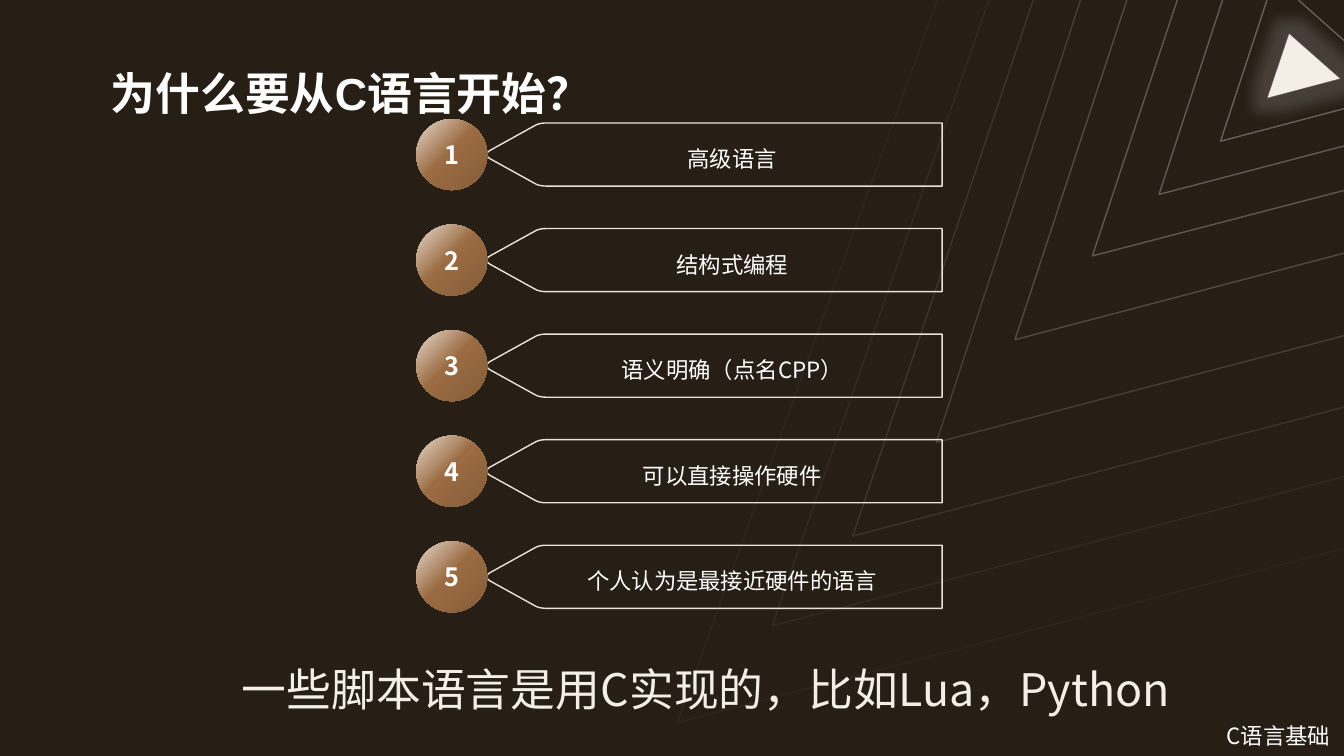
from copy import deepcopy
from dataclasses import dataclass

from lxml.etree import SubElement
from pptx import Presentation
from pptx.dml.color import RGBColor
from pptx.enum.shapes import MSO_CONNECTOR, MSO_SHAPE
from pptx.enum.text import MSO_ANCHOR, PP_ALIGN
from pptx.oxml.ns import qn
from pptx.util import Cm, Pt

TITLE = "为什么要从C语言开始？"
REASONS = ["高级语言", "结构式编程", "语义明确（点名CPP）", "可以直接操作硬件", "个人认为是最接近硬件的语言"]
CONCLUSION = "一些脚本语言是用C实现的，比如Lua，Python"
FOOTER = "C语言基础"

# Lengths are in centimetres.
SLIDE_WIDTH, SLIDE_HEIGHT = 33.87, 19.05
TRIANGLE = [(32.49, 0.86), (33.76, 1.98), (31.95, 2.46)]
CORNER_LINE = [(32.72, 0), (SLIDE_WIDTH, 1.02)]
CHEVRONS = [  # y at the right edge, tip x, tip y, x at the top edge, opacity in percent
    (13.82, 17.07, 18.21, 23.62, 3),
    (12.01, 19.46, 15.77, 24.92, 5),
    (10.26, 21.49, 13.51, 26.04, 10),
    (8.46, 23.6, 11.15, 27.23, 15),
    (6.38, 25.58, 8.56, 28.4, 20),
    (4.8, 27.53, 6.45, 29.67, 25),
    (3.68, 29.21, 4.9, 30.81, 28),
    (2.74, 30.76, 3.56, 31.93, 30),
]
FIRST_TOP, ROW_PITCH = 3.0, 2.66
CIRCLE_LEFT, CIRCLE_SIZE = 10.49, 1.79
PENNANT_LEFT, PENNANT_WIDTH, PENNANT_HEIGHT = 12.27, 11.47, 1.59
SHOULDER_CURVE = [(1.5, 0), (1.38, 0), (1.28, 0.02), (1.2, 0.07)]
POINT_CURVE = [(0.08, 0.69), (-0.03, 0.75), (-0.03, 0.84), (0.08, 0.9)]


@dataclass(frozen=True)
class Theme:
    background: str = "271E15"
    white: str = "FFFFFF"
    cream: str = "F5EEE7"
    outline: str = "EEE1D7"
    bronze: tuple = ((0, "E9DACD"), (0.47, "9B6C43"), (1, "845C39"))
    title_font: str = "Arial"
    font: str = "Noto Sans CJK SC"
    large: int = 32
    number: int = 18
    body: int = 16


THEME = Theme()


def color(value):
    return RGBColor.from_string(value)


def write_text(shape, text, size=THEME.body, font=THEME.font, fill=THEME.white, bold=False,
               align=PP_ALIGN.CENTER, anchor=MSO_ANCHOR.MIDDLE, spacing=1.0, insets=(0, 0, 0, 0)):
    """Insets are left, top, right and bottom."""
    frame = shape.text_frame
    frame.word_wrap = True
    frame.vertical_anchor = anchor
    frame.margin_left, frame.margin_top, frame.margin_right, frame.margin_bottom = map(Cm, insets)
    paragraph = frame.paragraphs[0]
    paragraph.alignment = align
    paragraph.line_spacing = spacing
    run = paragraph.add_run()
    run.text = text
    run.font.name, run.font.size, run.font.bold = font, Pt(size), bold
    run.font.color.rgb = color(fill)
    SubElement(run.font._element, qn("a:ea")).set("typeface", THEME.font)


def set_line(shape, line_color, opacity=100):
    shape.line.width = Pt(1)
    shape.line.color.rgb = color(line_color)
    if opacity < 100:
        tone = shape.line._ln.find(".//" + qn("a:srgbClr"))
        SubElement(tone, qn("a:alpha")).set("val", str(opacity * 1000))


def add_outline(slide, points, line_color, opacity=100, close=False):
    corners = [(Cm(x), Cm(y)) for x, y in points]
    builder = slide.shapes.build_freeform(*corners[0])
    builder.add_line_segments(corners[1:], close=close)
    shape = builder.convert_to_shape()
    shape.shadow.inherit = False
    shape.fill.background()
    set_line(shape, line_color, opacity)
    return shape


def curve_points(controls, steps=6):
    """Points along a cubic curve."""
    points = []
    for step in range(steps + 1):
        t = step / steps
        weights = ((1 - t) ** 3, 3 * t * (1 - t) ** 2, 3 * t * t * (1 - t), t ** 3)
        points.append(tuple(sum(w * c[axis] for w, c in zip(weights, controls))
                            for axis in (0, 1)))
    return points


def add_backdrop(slide):
    slide.background.fill.solid()
    slide.background.fill.fore_color.rgb = color(THEME.background)

    triangle = add_outline(slide, TRIANGLE, THEME.white, 20, close=True)
    triangle.fill.solid()
    triangle.fill.fore_color.rgb = color(THEME.cream)
    effects = triangle._element.spPr.find(qn("a:effectLst"))
    glow = SubElement(effects, qn("a:glow"), rad=str(Cm(0.7)))
    tone = SubElement(glow, qn("a:srgbClr"), val=THEME.white)
    SubElement(tone, qn("a:alpha"), val="15000")

    start, end = CORNER_LINE
    corner = slide.shapes.add_connector(MSO_CONNECTOR.STRAIGHT, *map(Cm, start + end))
    set_line(corner, THEME.white, 30)
    SubElement(corner._element.spPr, qn("a:effectLst"))

    for right_y, tip_x, tip_y, top_x, opacity in CHEVRONS:
        points = [(SLIDE_WIDTH, right_y), (tip_x, tip_y), (top_x, 0)]
        add_outline(slide, points, THEME.white, opacity)


def add_pennant(slide, top, text):
    shoulder = curve_points(SHOULDER_CURVE)
    lower_shoulder = [(x, PENNANT_HEIGHT - y) for x, y in reversed(shoulder)]
    right_side = [(PENNANT_WIDTH, PENNANT_HEIGHT), (PENNANT_WIDTH, 0)]
    points = shoulder + curve_points(POINT_CURVE) + lower_shoulder + right_side
    pennant = add_outline(slide, [(PENNANT_LEFT + x, top + y) for x, y in points],
                          THEME.outline, close=True)
    write_text(pennant, text, spacing=1.5, insets=(1.8, 0, 0.9, 0.13))


def add_number(slide, top, number):
    circle = slide.shapes.add_shape(MSO_SHAPE.OVAL, Cm(CIRCLE_LEFT), Cm(top),
                                    Cm(CIRCLE_SIZE), Cm(CIRCLE_SIZE))
    circle.shadow.inherit = False
    circle.line.fill.background()
    circle.fill.gradient()
    circle.fill.gradient_angle = 315
    stop_list = circle._element.spPr.find(".//" + qn("a:gsLst"))
    stop_list.append(deepcopy(stop_list[0]))
    for stop, (position, tone) in zip(circle.fill.gradient_stops, THEME.bronze):
        stop.position = position
        stop.color.rgb = color(tone)
    write_text(circle, str(number), size=THEME.number, bold=True)


def add_text_box(slide, left, top, width, height, text, **text_format):
    box = slide.shapes.add_textbox(Cm(left), Cm(top), Cm(width), Cm(height))
    write_text(box, text, **text_format)


def main():
    presentation = Presentation()
    presentation.slide_width, presentation.slide_height = Cm(SLIDE_WIDTH), Cm(SLIDE_HEIGHT)
    slide = presentation.slides.add_slide(presentation.slide_layouts[5])
    add_backdrop(slide)

    title = slide.shapes.title
    title.left, title.top, title.width, title.height = Cm(2.79), Cm(0.99), Cm(29.13), Cm(2.01)
    write_text(title, TITLE, size=THEME.large, font=THEME.title_font, bold=True,
               align=PP_ALIGN.LEFT, anchor=MSO_ANCHOR.BOTTOM)

    add_text_box(slide, 30.91, 17.86, 2.96, 1.19, FOOTER, align=PP_ALIGN.LEFT,
                 anchor=MSO_ANCHOR.TOP, spacing=1.5)
    for index, reason in enumerate(REASONS):
        top = FIRST_TOP + index * ROW_PITCH
        add_pennant(slide, top + (CIRCLE_SIZE - PENNANT_HEIGHT) / 2, reason)
        add_number(slide, top, index + 1)
    add_text_box(slide, 2.79, 16.03, 30, 2.01, CONCLUSION, size=THEME.large,
                 fill=THEME.cream, anchor=MSO_ANCHOR.BOTTOM)
    presentation.save("out.pptx")


if __name__ == "__main__":
    main()
